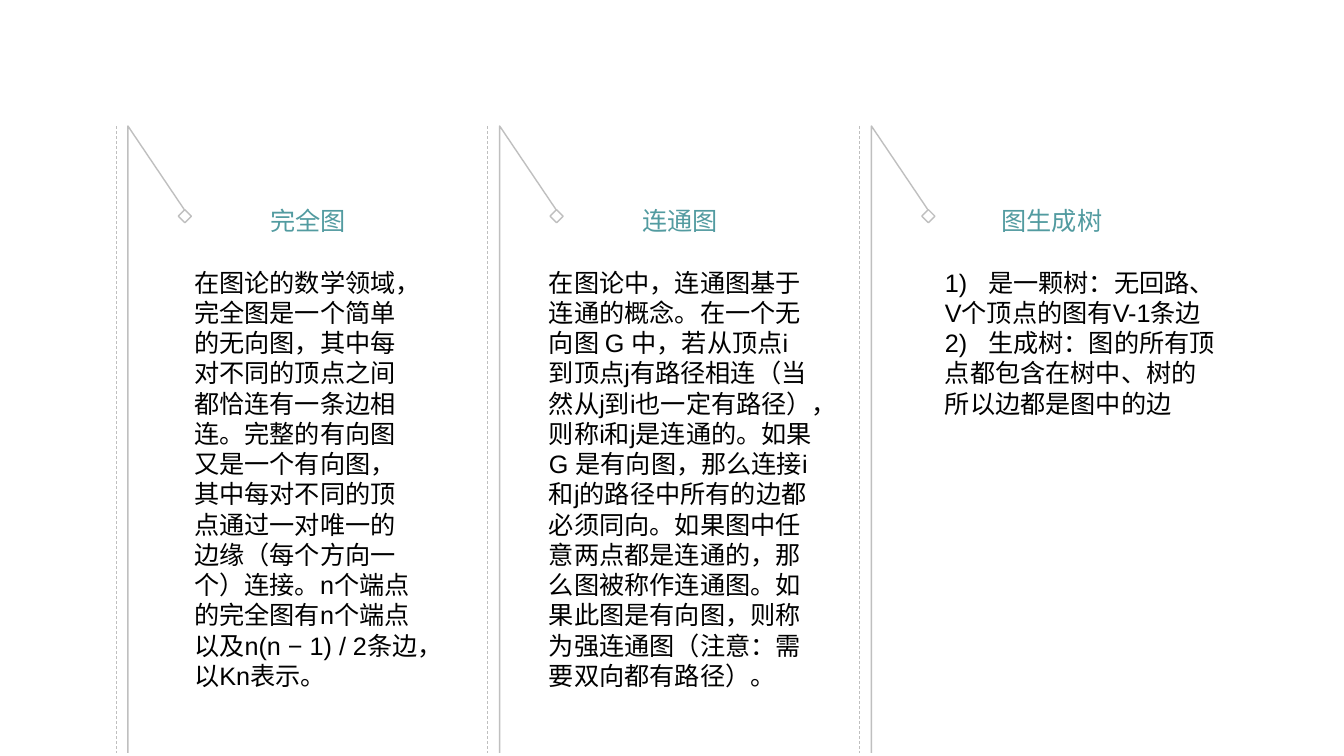
from lxml.etree import SubElement
from pptx import Presentation
from pptx.dml.color import RGBColor
from pptx.enum.dml import MSO_LINE_DASH_STYLE as Dash
from pptx.enum.shapes import MSO_CONNECTOR as Connector, MSO_SHAPE as Shape
from pptx.enum.text import MSO_AUTO_SIZE as AutoSize, PP_ALIGN as Align
from pptx.oxml.ns import qn
from pptx.util import Inches, Pt

TEAL = RGBColor(0x52, 0x9B, 0xA0)
GREY = RGBColor(0xBF, 0xBF, 0xBF)
BLACK = RGBColor(0, 0, 0)

GRID_COLUMNS, GRID_ROWS = 133.4, 75
FIRST_PANEL, PANEL_PITCH = 11.5, 36.9
TOP, KNEE, BOTTOM = 12.5, 20.8, 74.7
HEADING_ROW, BODY_ROW = 19, 26

PANELS = [
    ("完全图", 18.3, 24.4, 43,
     ["在图论的数学领域，完全图是一个简单的无向图，其中每对不同的顶点之间都恰连有一条边相连。"
      "完整的有向图又是一个有向图，其中每对不同的顶点通过一对唯一的边缘（每个方向一个）连接。"
      "n个端点的完全图有n个端点以及n(n − 1) / 2条边，以Kn表示。"]),
    ("连通图", 53.5, 28.1, 46,
     ["在图论中，连通图基于连通的概念。在一个无向图 G 中，若从顶点i到顶点j有路径相连"
      "（当然从j到i也一定有路径），则称i和j是连通的。如果 G 是有向图，"
      "那么连接i和j的路径中所有的边都必须同向。如果图中任意两点都是连通的，"
      "那么图被称作连通图。如果此图是有向图，则称为强连通图（注意：需要双向都有路径）。"]),
    ("图生成树", 92.8, 29.2, 19,
     ["1)\t是一颗树：无回路、V个顶点的图有V-1条边",
      "2)\t生成树：图的所有顶点都包含在树中、树的所以边都是图中的边"]),
]


class Canvas:
    font, size, number_tab = "Arial", Pt(18), 4.3

    def __init__(self, deck):
        self.slide = deck.slides.add_slide(deck.slide_layouts[6])
        self.shapes = self.slide.shapes
        self.column = deck.slide_width / GRID_COLUMNS
        self.row = deck.slide_height / GRID_ROWS

    def x(self, columns):
        return round(columns * self.column)

    def y(self, rows):
        return round(rows * self.row)

    def outline(self, shape, weight):
        shape.line.color.rgb = GREY
        shape.line.width = Pt(weight)

    def dashed_line(self, left, top, bottom):
        rule = self.shapes.add_connector(
            Connector.STRAIGHT, self.x(left), self.y(top), self.x(left), self.y(bottom))
        self.outline(rule, 0.5)
        rule.line.dash_style = Dash.DASH
        SubElement(rule._element.spPr, qn("a:effectLst"))

    def polyline(self, points):
        start, *rest = [(self.x(left), self.y(top)) for left, top in points]
        builder = self.shapes.build_freeform(*start)
        builder.add_line_segments(rest, close=False)
        pole = builder.convert_to_shape()
        pole.fill.background()
        pole.shadow.inherit = False
        self.outline(pole, 1)

    def diamond(self, left, top, side):
        marker = self.shapes.add_shape(
            Shape.DIAMOND, self.x(left), self.y(top), self.x(side), self.y(side))
        marker.fill.background()
        marker.shadow.inherit = False
        self.outline(marker, 1)

    def text(self, left, top, width, height, paragraphs, color, align=Align.LEFT, spacing=1.0):
        box = self.shapes.add_textbox(self.x(left), self.y(top), self.x(width), self.y(height))
        frame = box.text_frame
        frame.word_wrap = True
        frame.auto_size = AutoSize.SHAPE_TO_FIT_TEXT
        frame.text = "\n".join(paragraphs)
        for paragraph in frame.paragraphs:
            paragraph.alignment = align
            paragraph.line_spacing = spacing
            if "\t" in paragraph.text:
                tabs = SubElement(paragraph._p.get_or_add_pPr(), qn("a:tabLst"))
                SubElement(tabs, qn("a:tab"), pos=str(self.x(self.number_tab)), algn="l")
            for run in paragraph.runs:
                run.font.name = self.font
                run.font.size = self.size
                run.font.color.rgb = color

    def panel(self, left, heading):
        pole = left + 1.2
        self.polyline([(pole, BOTTOM), (pole, TOP), (pole + 5.6, KNEE)])
        self.dashed_line(left, TOP, BOTTOM)
        self.diamond(left + 6.2, KNEE, 1.3)
        self.text(left + 2.7, HEADING_ROW, 32.8, 4.9, [heading], TEAL, Align.CENTER, 1.3)


def main():
    deck = Presentation()
    deck.slide_width, deck.slide_height = Inches(13.34), Inches(7.5)
    canvas = Canvas(deck)
    for index, (heading, left, width, height, body) in enumerate(PANELS):
        canvas.panel(FIRST_PANEL + index * PANEL_PITCH, heading)
        canvas.text(left, BODY_ROW, width, height, body, BLACK)
    deck.save("out.pptx")


if __name__ == "__main__":
    main()
